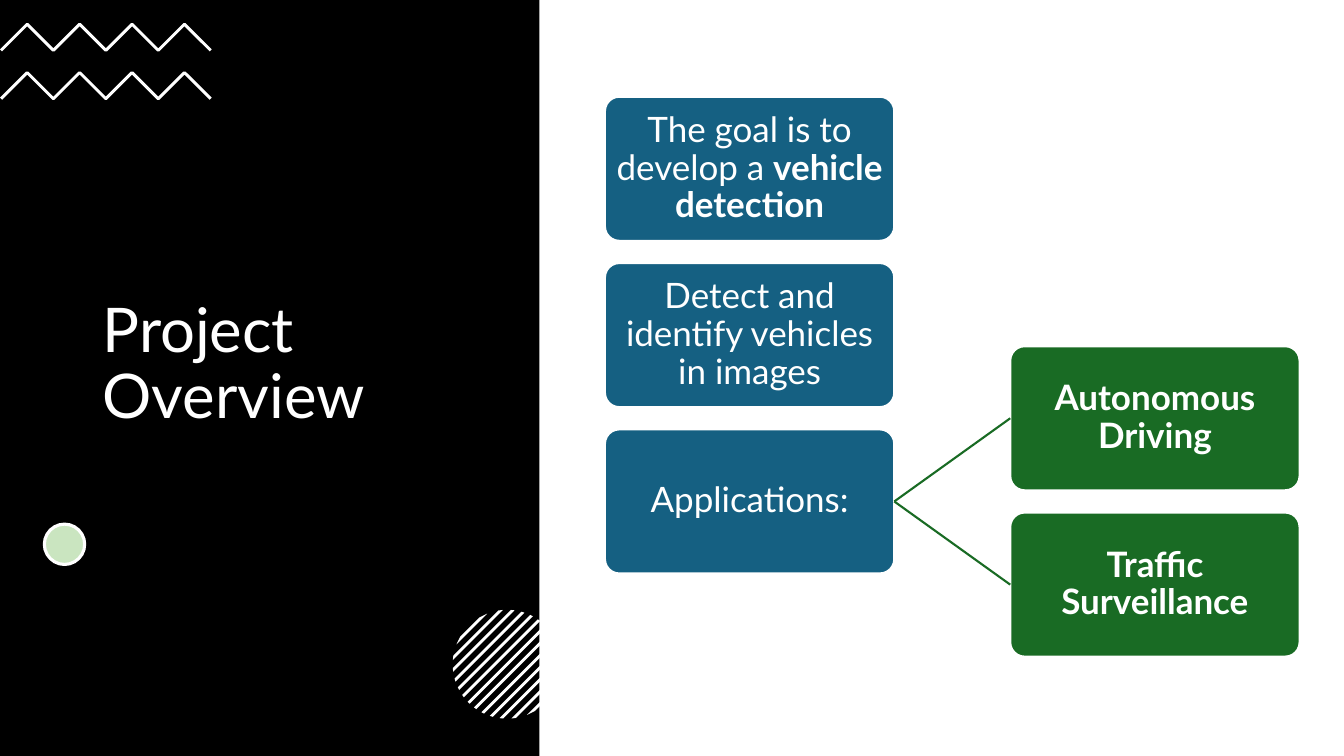
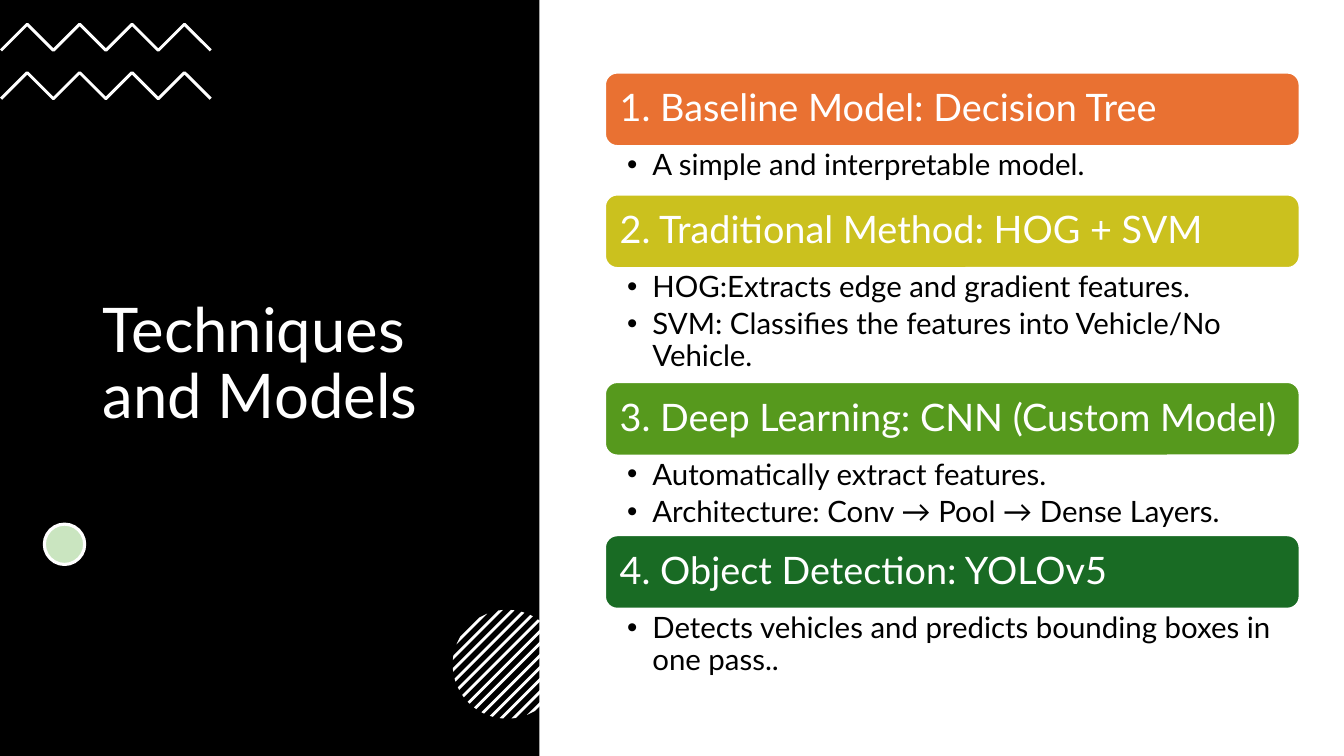
from dataclasses import dataclass
from math import sqrt

from lxml.etree import SubElement
from pptx import Presentation
from pptx.dml.color import RGBColor
from pptx.enum.shapes import MSO_CONNECTOR as Connector, MSO_SHAPE as Shape
from pptx.enum.text import MSO_ANCHOR as Anchor, PP_ALIGN as Align
from pptx.oxml.ns import qn
from pptx.util import Inches, Pt


@dataclass(frozen=True)
class Theme:
    font: str = "Lato"
    black: str = "000000"
    white: str = "FFFFFF"
    dot: str = "CAE5C0"
    blue: str = "156082"
    orange: str = "E97132"
    yellow: str = "CBC11E"
    lime: str = "56991D"
    green: str = "196B24"
    title_size: int = 44
    heading_size: int = 27
    box_size: int = 25
    bullet_size: int = 21


theme = Theme()


def paint(shape, fill=None, line=None, width=1.5):
    """Give a shape a flat fill and outline; None means no fill or no line."""
    shape.shadow.inherit = False
    if fill:
        shape.fill.solid()
        shape.fill.fore_color.rgb = RGBColor.from_string(fill)
    else:
        shape.fill.background()
    if line:
        shape.line.color.rgb = RGBColor.from_string(line)
        shape.line.width = Pt(width)
    else:
        shape.line.fill.background()


def write(shape, lines, size, color, insets, align=Align.LEFT,
          anchor=Anchor.MIDDLE, bulleted=False):
    """Fill a shape with paragraphs, each a (plain, bold) pair of texts."""
    frame = shape.text_frame
    frame.word_wrap = True
    frame.vertical_anchor = anchor
    (frame.margin_left, frame.margin_top,
     frame.margin_right, frame.margin_bottom) = [Inches(inset) for inset in insets]
    for number, texts in enumerate(lines):
        para = frame.add_paragraph() if number else frame.paragraphs[0]
        para.alignment = align
        para.line_spacing = 0.9
        if bulleted:
            para.space_after = Pt(4)
            properties = para._p.get_or_add_pPr()
            properties.set("marL", str(Inches(0.25)))
            properties.set("indent", str(-Inches(0.25)))
            SubElement(properties, qn("a:buFont"), typeface="Arial")
            SubElement(properties, qn("a:buChar"), char="•")
        for text, bold in zip(texts, (False, True)):
            if text:
                span = para.add_run()
                span.text = text
                span.font.name = theme.font
                span.font.size = Pt(size)
                span.font.bold = bold
                span.font.color.rgb = RGBColor.from_string(color)


deck = Presentation()
deck.slide_width, deck.slide_height = Inches(13.33), Inches(7.5)

# Both pages: black title panel with zigzags, dot and hatched circle
pages = []
for title in ("Project Overview", "Techniques and Models"):
    page = deck.slides.add_slide(deck.slide_layouts[6])
    pages.append(page)

    panel = page.shapes.add_shape(Shape.RECTANGLE, 0, 0, Inches(5.35), deck.slide_height)
    paint(panel, theme.black)

    title_box = page.shapes.add_textbox(Inches(0.92), Inches(1.31), Inches(3.5), Inches(4.63))
    write(title_box, [(title, "")], theme.title_size, theme.white, (0.1, 0.05, 0.1, 0.05))

    for crest in (0.24, 0.72):
        points = [(Inches(0.01 + 0.26 * step), Inches(crest + 0.26 * (step % 2 == 0)))
                  for step in range(9)]
        outline = page.shapes.build_freeform(*points[0])
        outline.add_line_segments(points[1:], close=False)
        paint(outline.convert_to_shape(), line=theme.white, width=2.1)

    dot = page.shapes.add_shape(Shape.OVAL, Inches(0.44), Inches(5.2), Inches(0.4), Inches(0.4))
    paint(dot, theme.dot, theme.white, 2.25)

    # Diagonal chords of a circle, each bounded by two parallel edges
    center_x, center_y, radius = 5.03, 6.59, 0.54
    for stripe in range(-6, 7):
        corners = []
        for edge, sides in ((-0.02, (1, -1)), (0.02, (-1, 1))):
            shift = (0.12 * stripe + edge) / 2
            reach = sqrt(radius ** 2 / 2 - shift ** 2)
            corners += [(Inches(center_x + shift + side * reach),
                         Inches(center_y + shift - side * reach)) for side in sides]
        outline = page.shapes.build_freeform(*corners[0])
        outline.add_line_segments(corners[1:], close=True)
        paint(outline.convert_to_shape(), theme.white)

overview, techniques = pages

# Project overview: goals on the left, applications branching right
goal_left, use_left = 6, 10.02
boxes = []
for left, row, fill, texts in (
    (goal_left, 0, theme.blue, ("The goal is to develop a ", "vehicle detection")),
    (goal_left, 1, theme.blue, ("Detect and identify vehicles in images", "")),
    (goal_left, 2, theme.blue, ("Applications:", "")),
    (use_left, 1.5, theme.green, ("", "Autonomous Driving")),
    (use_left, 2.5, theme.green, ("", "Traffic Surveillance")),
):
    box = overview.shapes.add_shape(Shape.ROUNDED_RECTANGLE, Inches(left),
                                    Inches(0.96 + 1.65 * row), Inches(2.87), Inches(1.43))
    box.adjustments[0] = 0.1
    paint(box, fill, theme.white)
    write(box, [texts], theme.box_size, theme.white, (0.02,) * 4, Align.CENTER)
    boxes.append(box)

applications, *uses = boxes[2:]
for use in uses:
    branch = overview.shapes.add_connector(Connector.STRAIGHT, 0, 0, 0, 0)
    branch.begin_connect(applications, 3)
    branch.end_connect(use, 1)
    branch.line.color.rgb = RGBColor.from_string(theme.green)
    branch.line.width = Pt(1.5)
    SubElement(branch._element.spPr, qn("a:effectLst"))

# Techniques: coloured headings, each followed by its bullets
left, width, heading_height = Inches(6), Inches(6.89), 0.73
top = 0.72
for heading, fill, body_height, bullets in (
    ("1. Baseline Model: Decision Tree", theme.orange, 0.48,
     ["A simple and interpretable model."]),
    ("2. Traditional Method: HOG + SVM", theme.yellow, 1.13,
     ["HOG:Extracts edge and gradient features.",
      "SVM: Classifies the features into Vehicle/No Vehicle."]),
    ("3. Deep Learning: CNN (Custom Model)", theme.lime, 0.79,
     ["Automatically extract features.",
      "Architecture: Conv → Pool → Dense Layers."]),
    ("4. Object Detection: YOLOv5", theme.green, 0.72,
     ["Detects vehicles and predicts bounding boxes in one pass.."]),
):
    bar = techniques.shapes.add_shape(Shape.ROUNDED_RECTANGLE, left, Inches(top),
                                      width, Inches(heading_height))
    paint(bar, fill, theme.white)
    write(bar, [(heading, "")], theme.heading_size, theme.white, (0.11,) * 4)
    top += heading_height

    body = techniques.shapes.add_textbox(left, Inches(top), width, Inches(body_height))
    write(body, [(bullet, "") for bullet in bullets], theme.bullet_size, theme.black,
          (0.22, 0.04, 0.21, 0.04), anchor=Anchor.TOP, bulleted=True)
    top += body_height

deck.save("out.pptx")
